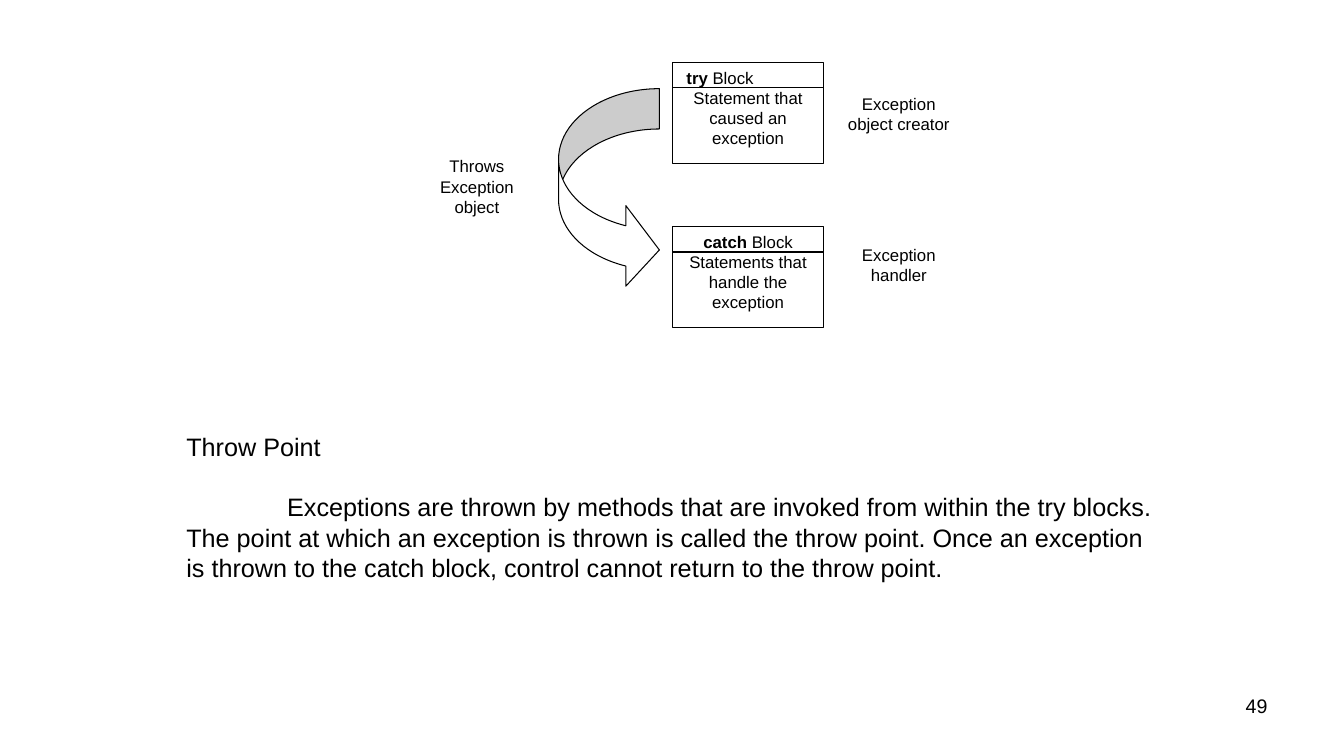
from pptx import Presentation
from pptx.dml.color import RGBColor
from pptx.enum.shapes import MSO_CONNECTOR, MSO_SHAPE
from pptx.enum.text import MSO_ANCHOR, PP_ALIGN
from pptx.oxml.ns import qn
from pptx.util import Inches, Pt
from lxml import etree

COLORS = {"ink": "000000", "paper": "FFFFFF"}


def add_paragraph(tf, runs, size, align, first=True):
    p = tf.paragraphs[0] if first else tf.add_paragraph()
    p.alignment = align
    for text, bold in runs:
        r = p.add_run()
        r.text = text
        r.font.name = "Arial"
        r.font.size = Pt(size)
        r.font.bold = bold
        r.font.color.rgb = RGBColor.from_string(COLORS["ink"])
    return p


def add_box(s, kind, at, line):
    sp = s.shapes.add_shape(kind, *[Inches(v) for v in at])
    sp.shadow.inherit = False
    sp.fill.solid()
    sp.fill.fore_color.rgb = RGBColor.from_string(COLORS["paper"])
    sp.line.color.rgb = RGBColor.from_string(COLORS[line])
    sp.line.width = Pt(0.75)
    sp.text_frame.word_wrap = True
    sp.text_frame.vertical_anchor = MSO_ANCHOR.TOP
    return sp


prs = Presentation()
prs.slide_width = Inches(13.33)
prs.slide_height = Inches(7.5)
s = prs.slides.add_slide(prs.slide_layouts[6])

blocks = [
    (0.62, "try", PP_ALIGN.LEFT, "Statement that caused an exception"),
    (2.25, "catch", PP_ALIGN.CENTER, "Statements that handle the exception"),
]
for top, keyword, align, body in blocks:
    sp = add_box(s, MSO_SHAPE.RECTANGLE, (6.67, top, 1.5, 1), "ink")
    p = add_paragraph(sp.text_frame, [(keyword, True), (" Block", False)], 12, align)
    if align == PP_ALIGN.LEFT:
        p._p.get_or_add_pPr().set("marL", str(Inches(0.04)))
    add_paragraph(sp.text_frame, [(body, False)], 12, PP_ALIGN.CENTER, first=False)

    y = Inches(top + 0.25)
    divider = s.shapes.add_connector(MSO_CONNECTOR.STRAIGHT, Inches(6.67), y, Inches(8.17), y)
    divider.line.color.rgb = RGBColor.from_string(COLORS["ink"])
    divider.line.width = Pt(0.75)
    etree.SubElement(divider._element.spPr, qn("a:effectLst"))

arrow = add_box(s, MSO_SHAPE.CURVED_RIGHT_ARROW, (5.54, 0.88, 1, 2), "ink")
for i, value in enumerate([0.4, 0.8, 0.333]):
    arrow.adjustments[i] = value

labels = [
    ("Throws Exception object", (4.04, 1.5, 1.38, 0.5)),
    ("Exception object creator", (8.29, 0.88, 1.25, 0.46)),
    ("Exception handler", (8.29, 2.38, 1.25, 0.46)),
]
for text, at in labels:
    sp = add_box(s, MSO_SHAPE.RECTANGLE, at, "paper")
    add_paragraph(sp.text_frame, [(text, False)], 12, PP_ALIGN.CENTER)

notes = s.shapes.add_textbox(Inches(1.75), Inches(4.23), Inches(9.92), Inches(1.6))
tf = notes.text_frame
tf.word_wrap = True
tf.vertical_anchor = MSO_ANCHOR.MIDDLE
add_paragraph(tf, [("Throw Point", False)], 18, PP_ALIGN.LEFT)
explanation = (
    "Exceptions are thrown by methods that are invoked from within the try blocks. "
    "The point at which an exception is thrown is called the throw point. "
    "Once an exception is thrown to the catch block, control cannot return to the throw point."
)
p = add_paragraph(tf, [(explanation, False)], 18, PP_ALIGN.LEFT, first=False)
p.space_before = Pt(21.5)
p._p.get_or_add_pPr().set("indent", str(Inches(1)))

number = s.shapes.add_textbox(Inches(9.56), Inches(6.83), Inches(3.11), Inches(0.52))
number.text_frame.word_wrap = True
add_paragraph(number.text_frame, [("49", False)], 14, PP_ALIGN.RIGHT)

prs.save("out.pptx")
